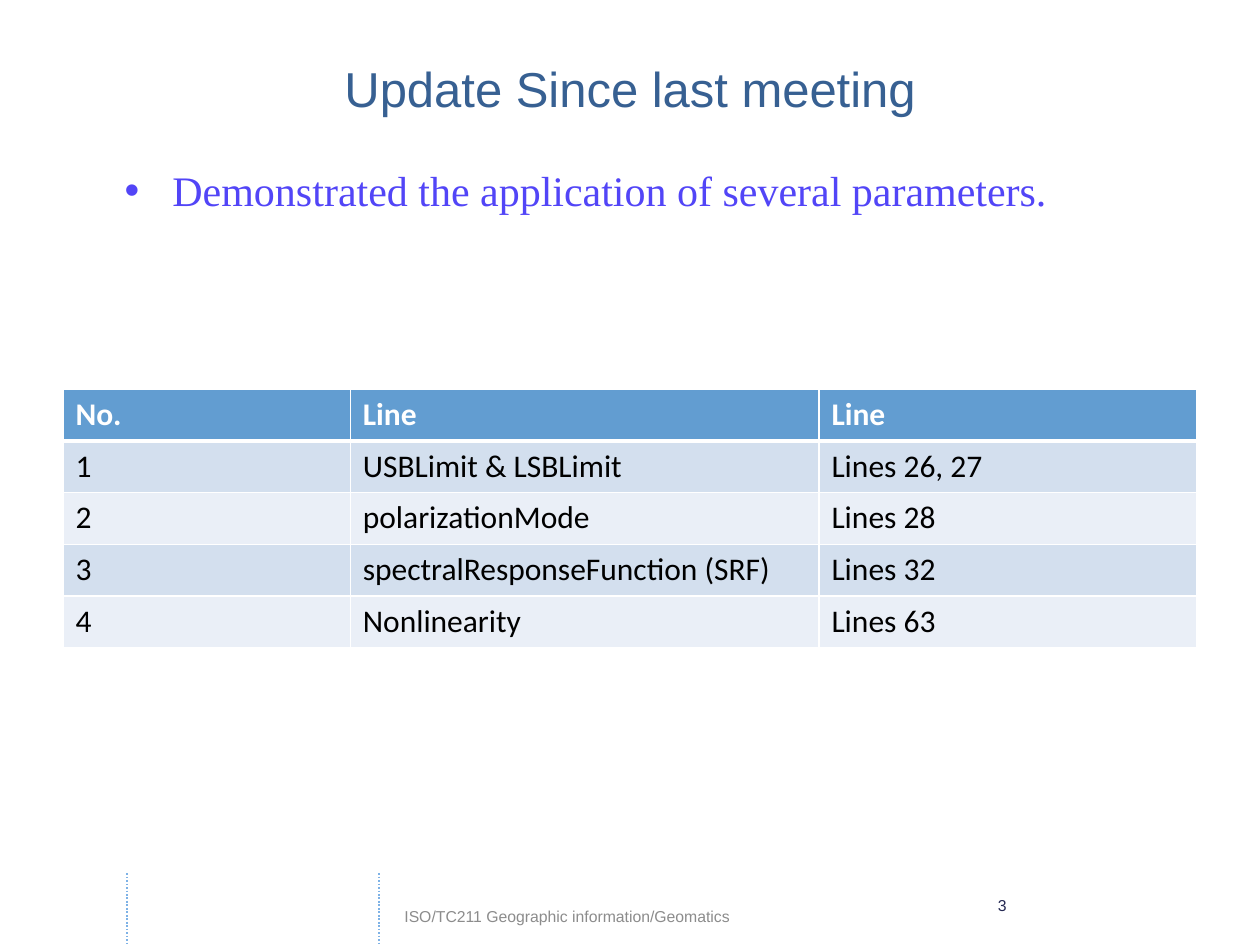
from lxml.etree import SubElement
from pptx import Presentation
from pptx.dml.color import RGBColor
from pptx.enum.dml import MSO_LINE
from pptx.enum.shapes import MSO_CONNECTOR
from pptx.enum.text import MSO_ANCHOR, PP_ALIGN
from pptx.oxml.ns import qn
from pptx.util import Inches, Pt

COLORS = {
    "title": "376092",
    "bullet": "5245F7",
    "footer": "8C8C8C",
    "number": "242852",
    "divider": "7EB2E6",
    "header": "629DD1",
    "band_dark": "D3DFEE",
    "band_light": "EAEFF7",
    "white": "FFFFFF",
    "black": "000000",
}

UPDATES = [
    ("No.", "Line", "Line"),
    ("1", "USBLimit & LSBLimit", "Lines 26, 27"),
    ("2", "polarizationMode", "Lines 28"),
    ("3", "spectralResponseFunction (SRF)", "Lines 32"),
    ("4", "Nonlinearity", "Lines 63"),
]
COLUMN_WIDTHS = (2.28, 3.72, 3)
ROW_HEIGHT = 0.41


class SlideBuilder:
    """Holds the style and the slide being filled."""

    def __init__(self, slide, colors):
        self.slide = slide
        self.colors = colors

    def rgb(self, color):
        return RGBColor.from_string(self.colors[color])

    def set_text(self, frame, text, size, font, color, bold=False):
        frame.text = text
        style = frame.paragraphs[0].runs[0].font
        style.size = Pt(size)
        style.name = font
        style.bold = bold
        style.color.rgb = self.rgb(color)

    def title(self, text, left, top, width, height):
        heading = self.slide.shapes.title
        heading.left, heading.top = Inches(left), Inches(top)
        heading.width, heading.height = Inches(width), Inches(height)
        frame = heading.text_frame
        frame.vertical_anchor = MSO_ANCHOR.MIDDLE
        self.set_text(frame, text, 28, "Arial", "title")
        frame.paragraphs[0].alignment = PP_ALIGN.CENTER

    def text_box(self, left, top, width, height):
        box = self.slide.shapes.add_textbox(
            Inches(left), Inches(top), Inches(width), Inches(height))
        box.text_frame.word_wrap = True
        return box.text_frame

    def bullet(self, text, left, top, width, height, indent=0.38):
        frame = self.text_box(left, top, width, height)
        self.set_text(frame, text, 24, "Times New Roman", "bullet")
        properties = frame.paragraphs[0]._p.get_or_add_pPr()
        properties.set("marL", str(Inches(indent)))
        properties.set("indent", str(-Inches(indent)))
        SubElement(properties, qn("a:buFont"), typeface="Arial")
        SubElement(properties, qn("a:buChar"), char="•")

    def footer(self, text, color, left, top, width, height):
        frame = self.text_box(left, top, width, height)
        frame.margin_left = frame.margin_right = 0
        frame.margin_top = frame.margin_bottom = 0
        self.set_text(frame, text, 9, "Arial", color)

    def divider(self, x, top, bottom):
        line = self.slide.shapes.add_connector(
            MSO_CONNECTOR.STRAIGHT,
            Inches(x), Inches(top), Inches(x), Inches(bottom))
        line.line.color.rgb = self.rgb("divider")
        line.line.width = Pt(1)
        line.line.dash_style = MSO_LINE.ROUND_DOT
        SubElement(line._element.spPr, qn("a:effectLst"))

    def cell_borders(self, cell, top, bottom):
        """Draw white borders; top and bottom are widths in points."""
        properties = cell._tc.get_or_add_tcPr()
        widths = {"a:lnL": 1, "a:lnR": 1, "a:lnT": top, "a:lnB": bottom}
        for tag, width in widths.items():
            border = SubElement(properties, qn(tag), w=str(Pt(width)))
            fill = SubElement(border, qn("a:solidFill"))
            SubElement(fill, qn("a:srgbClr"), val=self.colors["white"])

    def table(self, rows, left, top, widths, row_height):
        table = self.slide.shapes.add_table(
            len(rows), len(widths), Inches(left), Inches(top),
            Inches(sum(widths)), Inches(row_height * len(rows))).table
        for column, width in zip(table.columns, widths):
            column.width = Inches(width)
        for r, values in enumerate(rows):
            table.rows[r].height = Inches(row_height)
            is_header = r == 0
            band = "band_dark" if r % 2 else "band_light"
            for c, value in enumerate(values):
                cell = table.cell(r, c)
                self.set_text(cell.text_frame, value, 18, "Calibri",
                              "white" if is_header else "black", is_header)
                self.cell_borders(cell, top=3 if r == 1 else 1,
                                  bottom=3 if is_header else 1)
                cell.fill.solid()
                cell.fill.fore_color.rgb = self.rgb(
                    "header" if is_header else band)


def main():
    presentation = Presentation()
    presentation.slide_width = Inches(10)
    presentation.slide_height = Inches(7.5)
    title_only = presentation.slide_layouts[5]
    builder = SlideBuilder(presentation.slides.add_slide(title_only), COLORS)

    builder.footer("ISO/TC211 Geographic information/Geomatics", "footer",
                   3.21, 7.2, 3.93, 0.15)
    builder.footer("3", "number", 7.92, 7.11, 0.22, 0.15)
    for x in (1.01, 3.01):
        builder.divider(x, 6.93, 7.5)
    builder.table(UPDATES, 0.5, 3.09, COLUMN_WIDTHS, ROW_HEIGHT)
    builder.title("Update Since last meeting", 0.5, 0.28, 9, 0.83)
    builder.bullet("Demonstrated the application of several parameters.",
                   0.89, 1.26, 7.66, 0.5)

    presentation.save("out.pptx")


if __name__ == "__main__":
    main()
